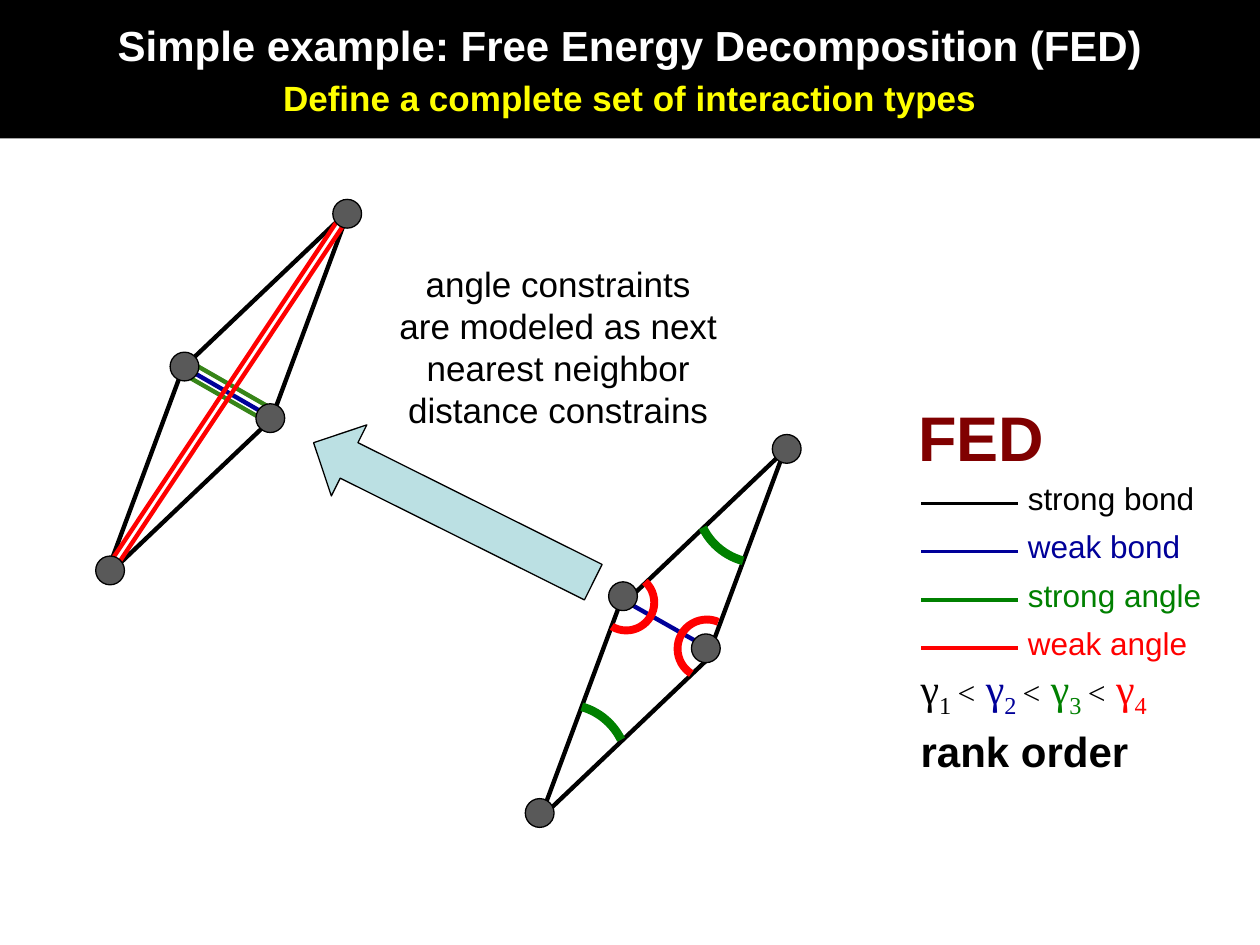
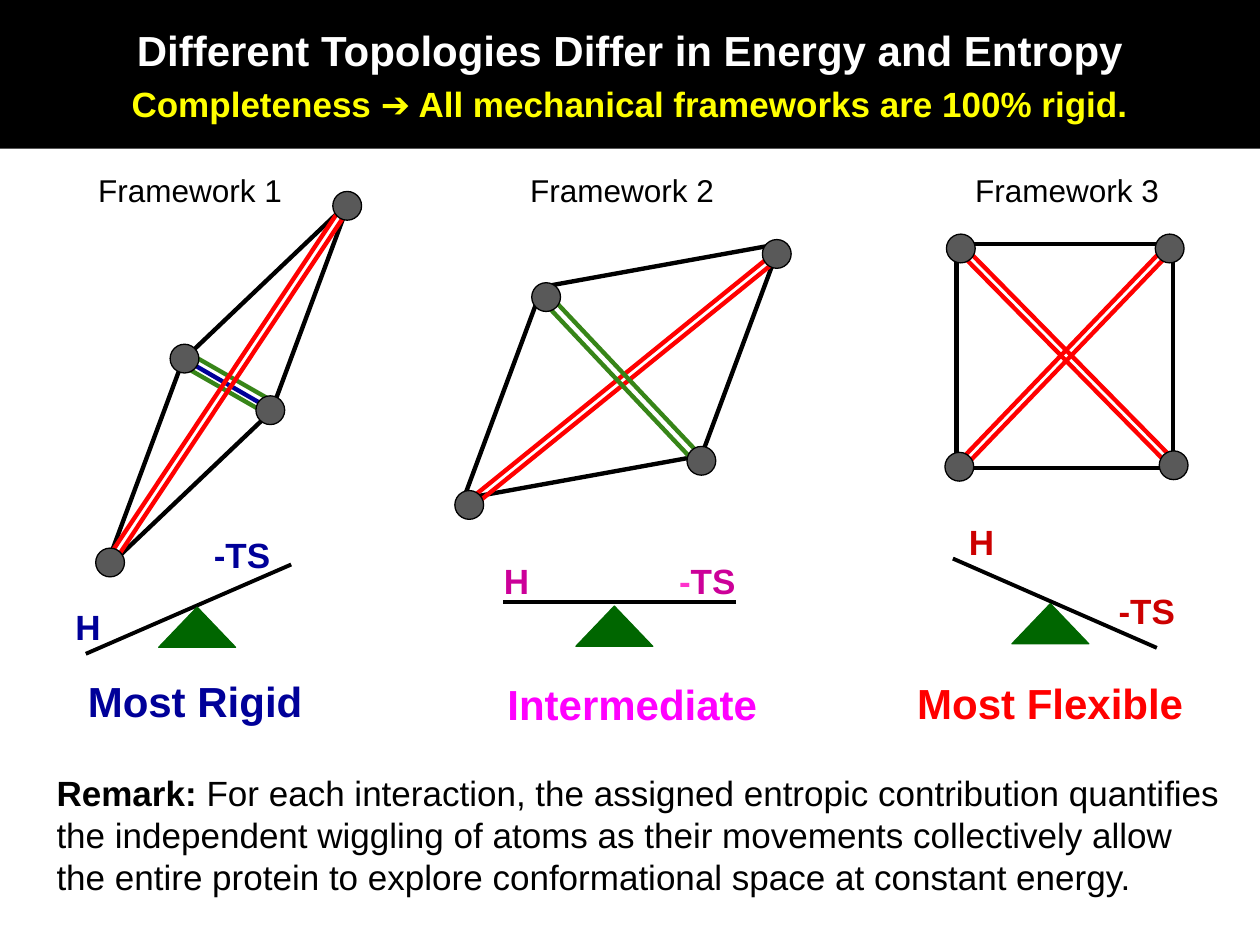
from math import hypot

from lxml.etree import SubElement
from pptx import Presentation
from pptx.dml.color import RGBColor
from pptx.enum.shapes import MSO_CONNECTOR, MSO_SHAPE
from pptx.enum.text import MSO_ANCHOR, PP_ALIGN
from pptx.oxml.ns import qn
from pptx.util import Cm, Pt

WHITE = RGBColor(0xFF, 0xFF, 0xFF)
BLACK = RGBColor(0x00, 0x00, 0x00)
YELLOW = RGBColor(0xFF, 0xFF, 0x00)
NAVY = RGBColor(0x00, 0x00, 0x99)
GREEN = RGBColor(0x00, 0x80, 0x00)
STRUT_GREEN = RGBColor(0x37, 0x85, 0x18)
PIVOT_GREEN = RGBColor(0x00, 0x66, 0x00)
RED = RGBColor(0xFF, 0x00, 0x00)
CRIMSON = RGBColor(0xCC, 0x00, 0x00)
MAROON = RGBColor(0x80, 0x00, 0x00)
MAGENTA = RGBColor(0xFF, 0x00, 0xFF)
PURPLE = RGBColor(0xCC, 0x00, 0x99)
PINK = RGBColor(0xFF, 0x33, 0xCC)
GREY = RGBColor(0x59, 0x59, 0x59)
PALE_BLUE = RGBColor(0xBB, 0xE0, 0xE3)

JOINT_SIZE = 0.58
BAR_WIDTH = 2.5


def write_paragraph(para, spans, **formats):
    for name, value in formats.items():
        setattr(para, name, value)
    for text, size, colour, extra in spans:
        span = para.add_run()
        span.text = text
        style = {"name": "Arial", "size": Pt(size), "bold": False, **extra}
        baseline = style.pop("baseline", None)
        for name, value in style.items():
            setattr(span.font, name, value)
        span.font.color.rgb = colour
        if baseline:
            span._r.get_or_add_rPr().set("baseline", str(baseline))


def write(frame, paragraphs, **formats):
    for index, spans in enumerate(paragraphs):
        para = frame.paragraphs[0] if index == 0 else frame.add_paragraph()
        write_paragraph(para, spans, **formats)


def add_text(page, left, top, width, height, paragraphs, **formats):
    box = page.shapes.add_textbox(Cm(left), Cm(top), Cm(width), Cm(height))
    box.text_frame.word_wrap = True
    write(box.text_frame, paragraphs, **formats)


def add_label(page, left, top, width, text, size, colour, bold=True):
    add_text(page, left, top, width, 1.2, [[(text, size, colour, {"bold": bold})]])


def add_shape(page, kind, left, top, width, height, fill=None, line=BLACK, weight=0.75):
    shape = page.shapes.add_shape(kind, Cm(left), Cm(top), Cm(width), Cm(height))
    shape.shadow.inherit = False
    if fill is None:
        shape.fill.background()
    else:
        shape.fill.solid()
        shape.fill.fore_color.rgb = fill
    if line is None:
        shape.line.fill.background()
    else:
        shape.line.color.rgb = line
        shape.line.width = Pt(weight)
    return shape


def add_line(page, left, top, start, end, colour, weight=BAR_WIDTH):
    line = page.shapes.add_connector(
        MSO_CONNECTOR.STRAIGHT,
        Cm(left + start[0]), Cm(top + start[1]), Cm(left + end[0]), Cm(top + end[1]),
    )
    line.line.color.rgb = colour
    line.line.width = Pt(weight)
    SubElement(line._element.spPr, qn("a:effectLst"))


def add_double_line(page, left, top, start, end, colour, gap):
    run, rise = end[0] - start[0], end[1] - start[1]
    length = hypot(run, rise)
    for side in (-gap / 2, gap / 2):
        shift_x, shift_y = -rise / length * side, run / length * side
        add_line(page, left + shift_x, top + shift_y, start, end, colour)


def add_rhombus(page, left, top, width, height, slant):
    rhombus = add_shape(page, MSO_SHAPE.PARALLELOGRAM, left, top, width, height, weight=BAR_WIDTH)
    rhombus.adjustments[0] = slant
    rhombus.rotation = 110.4
    rhombus._element.spPr.get_or_add_xfrm().set("flipH", "1")


def add_joints(page, left, top, centres):
    for x, y in centres:
        add_shape(page, MSO_SHAPE.OVAL, left + x - JOINT_SIZE / 2, top + y - JOINT_SIZE / 2,
                  JOINT_SIZE, JOINT_SIZE, GREY)


def add_arc(page, left, top, size, start, end, colour, weight):
    arc = add_shape(page, MSO_SHAPE.ARC, left, top, size, size, line=colour, weight=weight)
    for index, degrees in enumerate((start, end)):
        arc.adjustments[index] = degrees * 0.6


def title_band(page, height, title, subtitle):
    band = add_shape(page, MSO_SHAPE.RECTANGLE, 0, 0, 25.4, height, BLACK, None)
    frame = band.text_frame
    frame.word_wrap = True
    frame.vertical_anchor = MSO_ANCHOR.MIDDLE
    bold = {"bold": True}
    write_paragraph(frame.paragraphs[0], [(title, 24, WHITE, bold)], alignment=PP_ALIGN.CENTER)
    write_paragraph(frame.add_paragraph(), [(subtitle, 20, YELLOW, bold)],
                    alignment=PP_ALIGN.CENTER, space_before=Pt(4))


def rigid_framework(page, left, top):
    add_rhombus(page, left - 1.68, top + 2.9, 8.66, 2.03, 2.047)
    add_double_line(page, left, top, (1.82, 3.39), (3.57, 4.39), STRUT_GREEN, 0.28)
    add_line(page, left, top, (1.78, 3.38), (3.53, 4.39), NAVY)
    add_double_line(page, left, top, (4.97, 0.42), (0.34, 7.38), RED, 0.15)
    add_joints(page, left, top, [(3.52, 4.41), (1.79, 3.37), (0.29, 7.48), (5.07, 0.29)])


def intermediate_framework(page, left, top):
    add_rhombus(page, left - 0.15, top + 0.56, 7.04, 4.19, 0.593)
    add_double_line(page, left, top, (6.48, 0.33), (0.33, 5.31), RED, 0.15)
    add_double_line(page, left, top, (1.82, 1.16), (4.97, 4.5), STRUT_GREEN, 0.18)
    add_joints(page, left, top, [(0.29, 5.35), (4.97, 4.46), (1.84, 1.16), (6.49, 0.29)])


def flexible_framework(page, left, top):
    add_shape(page, MSO_SHAPE.RECTANGLE, left + 0.23, top + 0.2, 4.37, 4.52, weight=BAR_WIDTH)
    add_double_line(page, left, top, (0.27, 0.24), (4.6, 4.64), RED, 0.15)
    add_double_line(page, left, top, (0.28, 4.7), (4.55, 0.25), RED, 0.15)
    add_joints(page, left, top, [(4.53, 0.29), (0.29, 4.69), (4.61, 4.66), (0.32, 0.29)])


def angle_framework(page, left, top):
    add_rhombus(page, left - 1.57, top + 3.02, 8.66, 2.03, 2.047)
    add_line(page, left, top, (1.91, 3.3), (3.66, 4.29), NAVY)
    add_joints(page, left, top, [(3.64, 4.31), (1.97, 3.26), (0.29, 7.63), (5.27, 0.29)])
    for x, y, size, start, end, colour, weight in (
        (3.45, 0.05, 2.54, 105, 154, GREEN, 5),
        (-0.48, 5.44, 2.54, 286, 334, GREEN, 5),
        (1.47, 2.82, 1.13, 312, 121, RED, 4.5),
        (3.07, 3.73, 1.18, 122, 293, RED, 4.5),
    ):
        add_arc(page, left + x, top + y, size, start, end, colour, weight)


def legend(page, left, top):
    entries = [("strong bond", BLACK), ("weak bond", NAVY),
               ("strong angle", GREEN), ("weak angle", RED)]
    add_label(page, left, top, 3.6, "FED", 36, MAROON)
    add_text(page, left + 2.21, top + 1.63, 4.9, 3.99,
             [[(name, 18, colour, {})] for name, colour in entries], space_after=Pt(6))
    serif = {"name": "Times New Roman"}
    ranking = []
    for index, (_, colour) in enumerate(entries):
        y = 2.25 + index * 0.97
        add_line(page, left, top, (0.31, y), (2.26, y), colour, 2)
        if index:
            ranking += [(" ", 24, colour, {**serif, "baseline": -25000}),
                        ("<", 18, BLACK, serif), (" ", 24, BLACK, serif)]
        ranking += [("γ", 24, colour, serif),
                    (str(index + 1), 24, colour, {**serif, "baseline": -25000})]
    add_text(page, left + 0.05, top + 5.33, 5.6, 1.3, [ranking])
    add_label(page, left + 0.05, top + 6.6, 5, "rank order", 24, BLACK)


def balance(page, left, top, beam, enthalpy, entropy, colour, minus_colour):
    add_line(page, left, top, *beam, BLACK, 2.25)
    add_shape(page, MSO_SHAPE.ISOSCELES_TRIANGLE, left, top, 1.55, 0.81, PIVOT_GREEN, PIVOT_GREEN)
    bold = {"bold": True}
    add_label(page, left + enthalpy[0], top + enthalpy[1], 1.09, "H", 20, colour)
    add_text(page, left + entropy[0], top + entropy[1], 2, 1.09,
             [[("-", 20, minus_colour, bold), ("TS", 20, colour, bold)]])


def decomposition_slide(page):
    title_band(page, 2.79, "Simple example: Free Energy Decomposition (FED)",
               "Define a complete set of interaction types")
    angle_framework(page, 10.59, 8.76)
    rigid_framework(page, 1.93, 4.02)
    arrow = add_shape(page, MSO_SHAPE.LEFT_ARROW, 5.99, 9.53, 6.3, 1.6, PALE_BLUE)
    arrow.rotation = 26.5
    sentence = ("angle constraints", "are modeled as next",
                "nearest neighbor", "distance constrains")
    add_text(page, 7.52, 5.16, 7.47, 3.68,
             [[(text, 20, BLACK, {})] for text in sentence], alignment=PP_ALIGN.CENTER)
    legend(page, 18.26, 7.9)


def topologies_slide(page):
    title_band(page, 3, "Different Topologies Differ in Energy and Entropy",
               "Completeness ➔ All mechanical frameworks are 100% rigid.")
    rigid_framework(page, 1.93, 3.86)
    intermediate_framework(page, 9.17, 4.83)
    flexible_framework(page, 19.05, 4.72)
    for number, left in enumerate((1.73, 10.44, 19.41), 1):
        add_label(page, left, 3.33, 4.6, f"Framework {number}", 18, BLACK, False)
    for left, top, text, colour in (
        (1.52, 13.49, "Most Rigid", NAVY),
        (9.98, 13.56, "Intermediate", MAGENTA),
        (18.24, 13.54, "Most Flexible", RED),
    ):
        add_label(page, left, top, 6.2, text, 24, colour)
    balance(page, 3.2, 12.24, ((2.67, -0.86), (-1.47, 0.94)),
            (-1.93, -0.15), (0.86, -1.6), NAVY, NAVY)
    balance(page, 11.61, 12.22, ((3.23, -0.08), (-1.47, -0.08)),
            (-1.7, -1.07), (1.83, -1.07), PURPLE, PINK)
    balance(page, 20.4, 12.17, ((-1.19, -0.91), (2.92, 0.89)),
            (-1.12, -1.8), (1.9, -0.41), CRIMSON, CRIMSON)
    remark = (" For each interaction, the assigned entropic contribution quantifies the "
              "independent wiggling of atoms as their movements collectively allow the entire "
              "protein to explore conformational space at constant energy.")
    add_text(page, 0.89, 15.42, 24.08, 2.82,
             [[("Remark:", 20, BLACK, {"bold": True}), (remark, 20, BLACK, {})]])


def main():
    deck = Presentation()
    deck.slide_width, deck.slide_height = Cm(25.4), Cm(19.05)
    for build in (decomposition_slide, topologies_slide):
        build(deck.slides.add_slide(deck.slide_layouts[6]))
    deck.save("out.pptx")


if __name__ == "__main__":
    main()
